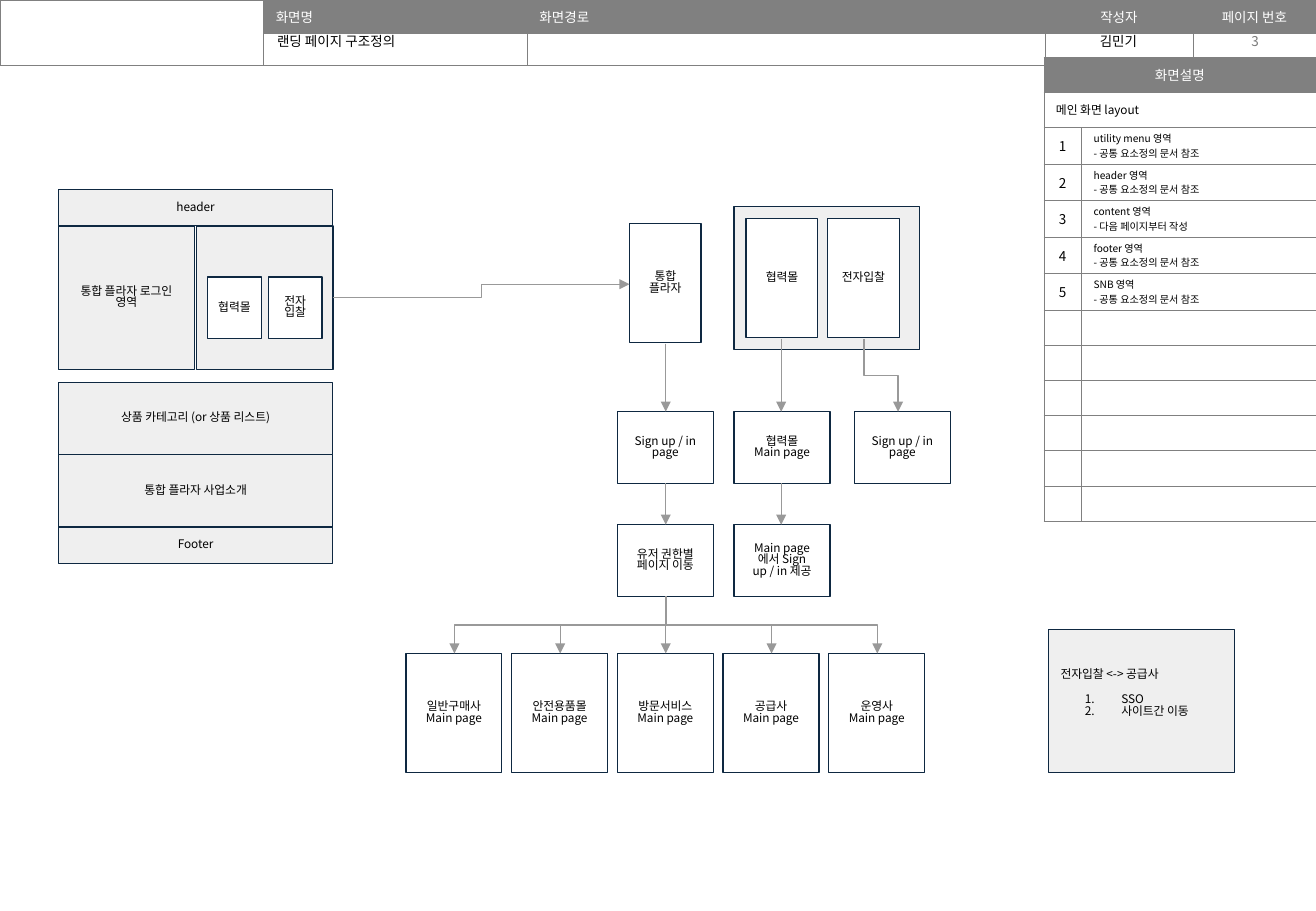
"""Build the landing page structure slide: header bar, page flow and screen notes."""
from dataclasses import dataclass

from lxml import etree
from pptx import Presentation
from pptx.dml.color import RGBColor
from pptx.enum.shapes import MSO_CONNECTOR, MSO_SHAPE
from pptx.enum.text import MSO_ANCHOR, MSO_AUTO_SIZE, PP_ALIGN
from pptx.oxml.ns import qn
from pptx.slide import Slide
from pptx.text.text import TextFrame, _Paragraph
from pptx.util import Pt

PX = 9144
RECTANGLE = MSO_SHAPE.RECTANGLE
ELBOW = MSO_CONNECTOR.ELBOW
MIDDLE = MSO_ANCHOR.MIDDLE
LEFT, CENTER = PP_ALIGN.LEFT, PP_ALIGN.CENTER


@dataclass(frozen=True)
class Theme:
    font: str = "Noto Sans CJK KR"
    black: str = "000000"
    white: str = "FFFFFF"
    bar: str = "808080"
    number: str = "797979"
    panel: str = "EFEFEF"
    outline: str = "0E2841"
    arrow: str = "999999"
    heading: int = 8
    label: int = 7
    small: int = 6
    border: float = 0.25
    stroke: float = 0.75
    tight: float = 0.8


THEME = Theme()


@dataclass(frozen=True)
class Box:
    left: int
    top: int
    width: int
    height: int
    text: str = ""
    fill: str = THEME.white
    side: int = 10


@dataclass(frozen=True)
class Arrow:
    x1: int
    y1: int
    x2: int
    y2: int


@dataclass(frozen=True)
class Cell:
    text: str = ""
    fill: str = ""
    size: int = THEME.heading
    color: str = THEME.black
    align: PP_ALIGN = LEFT


PANELS = [
    Box(48, 156, 226, 30, "header", THEME.panel),
    Box(48, 434, 226, 30, "Footer", THEME.panel),
    Box(162, 186, 112, 118, fill=THEME.panel),
    Box(48, 374, 226, 60, "통합 플라자 사업소개", THEME.panel),
    Box(48, 315, 226, 59, "상품 카테고리 (or 상품 리스트)", THEME.panel),
    Box(48, 186, 112, 118, "통합 플라자 로그인 영역", THEME.panel),
    Box(604, 170, 153, 118, fill=THEME.panel),
]
STEPS = [
    Box(171, 228, 44, 51, "협력몰", side=4),
    Box(221, 228, 44, 51, "전자입찰"),
    Box(518, 184, 59, 98, "통합 플라자"),
    Box(614, 180, 59, 98, "협력몰"),
    Box(681, 180, 59, 98, "전자입찰"),
    Box(508, 339, 79, 59, "Sign up / in\npage"),
    Box(604, 339, 79, 59, "협력몰\nMain page"),
    Box(703, 339, 79, 59, "Sign up / in\npage"),
    Box(508, 432, 79, 59, "유저 권한별 페이지 이동"),
    Box(604, 432, 79, 59, "Main page에서 Sign up / in 제공"),
]
SITES = [
    Box(334 + 87 * index, 538, 79, 98, f"{name}\nMain page")
    for index, name in enumerate(["일반구매사", "안전용품몰", "방문서비스", "공급사", "운영사"])
]
FLOWS = [
    Arrow(548, 283, 548, 339),
    Arrow(548, 398, 548, 432),
    Arrow(643, 279, 643, 339),
    Arrow(643, 398, 643, 432),
    Arrow(711, 279, 739, 339),
] + [Arrow(548, 491, site.left + 40, site.top) for site in SITES]
LOGIN = Arrow(274, 245, 518, 234)


def bar_cell(text: str, align: PP_ALIGN = CENTER) -> Cell:
    return Cell(text, THEME.bar, color=THEME.white, align=align)


HEADER = [
    [Cell(), bar_cell("화면명", LEFT), bar_cell("화면경로", LEFT),
     bar_cell("작성자"), bar_cell("페이지 번호")],
    [Cell()] * 5,
]
SHARED = "공통 요소정의 문서 참조"
AREAS = [("utility menu", SHARED), ("header", SHARED), ("content", "다음 페이지부터 작성"),
         ("footer", SHARED), ("SNB", SHARED)]
BLANK = Cell(fill=THEME.white)
NOTES = [
    [bar_cell("화면설명"), BLANK],
    [Cell("메인 화면 layout", THEME.white, THEME.label), BLANK],
] + [
    [Cell(str(number), THEME.white, align=CENTER),
     Cell(f"{area} 영역\n- {remark}", THEME.white, THEME.small)]
    for number, (area, remark) in enumerate(AREAS, 1)
] + [[BLANK, BLANK]] * 6


def rgb(color: str) -> RGBColor:
    return RGBColor.from_string(color)


def style(para: _Paragraph, size: int, color: str, align: PP_ALIGN) -> None:
    para.alignment = align
    para.font.size = Pt(size)
    para.font.name = THEME.font
    para.font.color.rgb = rgb(color)
    east_asian = etree.SubElement(para._p.pPr.find(qn("a:defRPr")), qn("a:ea"))
    east_asian.set("typeface", THEME.font)
    if not para.text:
        para._p.get_or_add_endParaRPr().set("sz", str(size * 100))


def write(frame: TextFrame, text: str, size: int, color: str, align: PP_ALIGN) -> None:
    frame.text = text
    for para in frame.paragraphs:
        style(para, size, color, align)


def draw_box(page: Slide, box: Box) -> TextFrame:
    shape = page.shapes.add_shape(
        RECTANGLE, box.left * PX, box.top * PX, box.width * PX, box.height * PX)
    shape.shadow.inherit = False
    shape.fill.solid()
    shape.fill.fore_color.rgb = rgb(box.fill)
    shape.line.color.rgb = rgb(THEME.outline)
    shape.line.width = Pt(THEME.stroke)
    frame = shape.text_frame
    frame.word_wrap = True
    frame.vertical_anchor = MIDDLE
    frame.margin_left = frame.margin_right = box.side * PX
    frame.margin_top = frame.margin_bottom = 10 * PX
    if box.text:
        write(frame, box.text, THEME.label, THEME.black, CENTER)
        for para in frame.paragraphs:
            para.line_spacing = THEME.tight
    return frame


def draw_arrow(page: Slide, arrow: Arrow, downward: bool = True) -> None:
    x1, y1, x2, y2 = (value * PX for value in (arrow.x1, arrow.y1, arrow.x2, arrow.y2))
    rightward = x2 >= x1
    if downward:
        middle_x, middle_y = (x1 + x2) // 2, (y1 + y2) // 2
        half_run, half_rise = (y2 - y1) // 2, abs(x2 - x1) // 2
        x1, x2 = middle_x - half_run, middle_x + half_run
        y1, y2 = middle_y - half_rise, middle_y + half_rise
        if rightward:
            x1, x2 = x2, x1
    connector = page.shapes.add_connector(ELBOW, x1, y1, x2, y2)
    connector.line.color.rgb = rgb(THEME.arrow)
    connector.line.width = Pt(THEME.stroke)
    properties = connector._element.spPr
    if downward:
        properties.find(qn("a:xfrm")).set("rot", "16200000" if rightward else "5400000")
    etree.SubElement(properties.find(qn("a:ln")), qn("a:tailEnd")).set("type", "triangle")
    etree.SubElement(properties, qn("a:effectLst"))


def draw_table(page: Slide, left: int, top: int, widths: list[int], heights: list[int],
               rows: list[list[Cell]], merges: list[tuple[int, int, int, int]]) -> None:
    table = page.shapes.add_table(len(heights), len(widths), left * PX, top * PX,
                                  sum(widths) * PX, sum(heights) * PX).table
    table.first_row = table.horz_banding = False
    for column, width in zip(table.columns, widths):
        column.width = width * PX
    for row, height in zip(table.rows, heights):
        row.height = height * PX
    for row1, column1, row2, column2 in merges:
        table.cell(row1, column1).merge(table.cell(row2, column2))
    for target, content in zip(table.iter_cells(), sum(rows, [])):
        target.margin_top = target.margin_bottom = 2 * PX
        target.vertical_anchor = MIDDLE
        write(target.text_frame, content.text, content.size, content.color, content.align)
        for side in ("a:lnL", "a:lnR", "a:lnT", "a:lnB"):
            line = etree.SubElement(target._tc.get_or_add_tcPr(), qn(side))
            line.set("w", str(Pt(THEME.border)))
            paint = etree.SubElement(line, qn("a:solidFill"))
            etree.SubElement(paint, qn("a:srgbClr")).set("val", THEME.bar)
        if content.fill:
            target.fill.solid()
            target.fill.fore_color.rgb = rgb(content.fill)
        else:
            target.fill.background()


def draw_caption(page: Slide, left: int, width: int, text: str, color: str) -> None:
    frame = page.shapes.add_textbox(left * PX, 22 * PX, width * PX, 24 * PX).text_frame
    frame.word_wrap = True
    frame.vertical_anchor = MIDDLE
    write(frame, text, THEME.heading, color, CENTER)


def draw_title(page: Slide) -> None:
    title = page.shapes.title
    title.left, title.top, title.width, title.height = 218 * PX, 22 * PX, 215 * PX, 24 * PX
    frame = title.text_frame
    frame.auto_size = MSO_AUTO_SIZE.NONE
    frame.vertical_anchor = MIDDLE
    write(frame, "랜딩 페이지 구조정의", THEME.heading, THEME.black, LEFT)


def draw_memo(page: Slide) -> None:
    frame = draw_box(page, Box(863, 518, 153, 118, fill=THEME.panel))
    frame.margin_bottom = 22 * PX
    frame.text = "전자입찰 <-> 공급사\nSSO\n사이트간 이동"
    for index, para in enumerate(frame.paragraphs):
        para.line_spacing = THEME.tight
        if index == 1:
            para.space_before = Pt(8)
        if index:
            properties = para._p.get_or_add_pPr()
            properties.set("marL", str(50 * PX))
            properties.set("indent", str(-30 * PX))
            etree.SubElement(properties, qn("a:buAutoNum")).set("type", "arabicPeriod")
        style(para, THEME.label, THEME.black, LEFT)


def main() -> None:
    deck = Presentation()
    deck.slide_width, deck.slide_height = 1083 * PX, 750 * PX
    page = deck.slides.add_slide(deck.slide_layouts[5])
    draw_title(page)
    draw_table(page, 0, 0, [217, 217, 426, 122, 101], [27, 27], HEADER, [(0, 0, 1, 0)])
    draw_caption(page, 859, 123, "김민기", THEME.black)
    draw_caption(page, 983, 100, "3", THEME.number)
    draw_table(page, 859, 47, [31, 193], [29] * 2 + [30] * 5 + [29] * 6, NOTES,
               [(0, 0, 0, 1), (1, 0, 1, 1)])
    for box in PANELS + STEPS + SITES:
        draw_box(page, box)
    draw_memo(page)
    for flow in FLOWS:
        draw_arrow(page, flow)
    draw_arrow(page, LOGIN, downward=False)
    deck.save("out.pptx")


if __name__ == "__main__":
    main()
